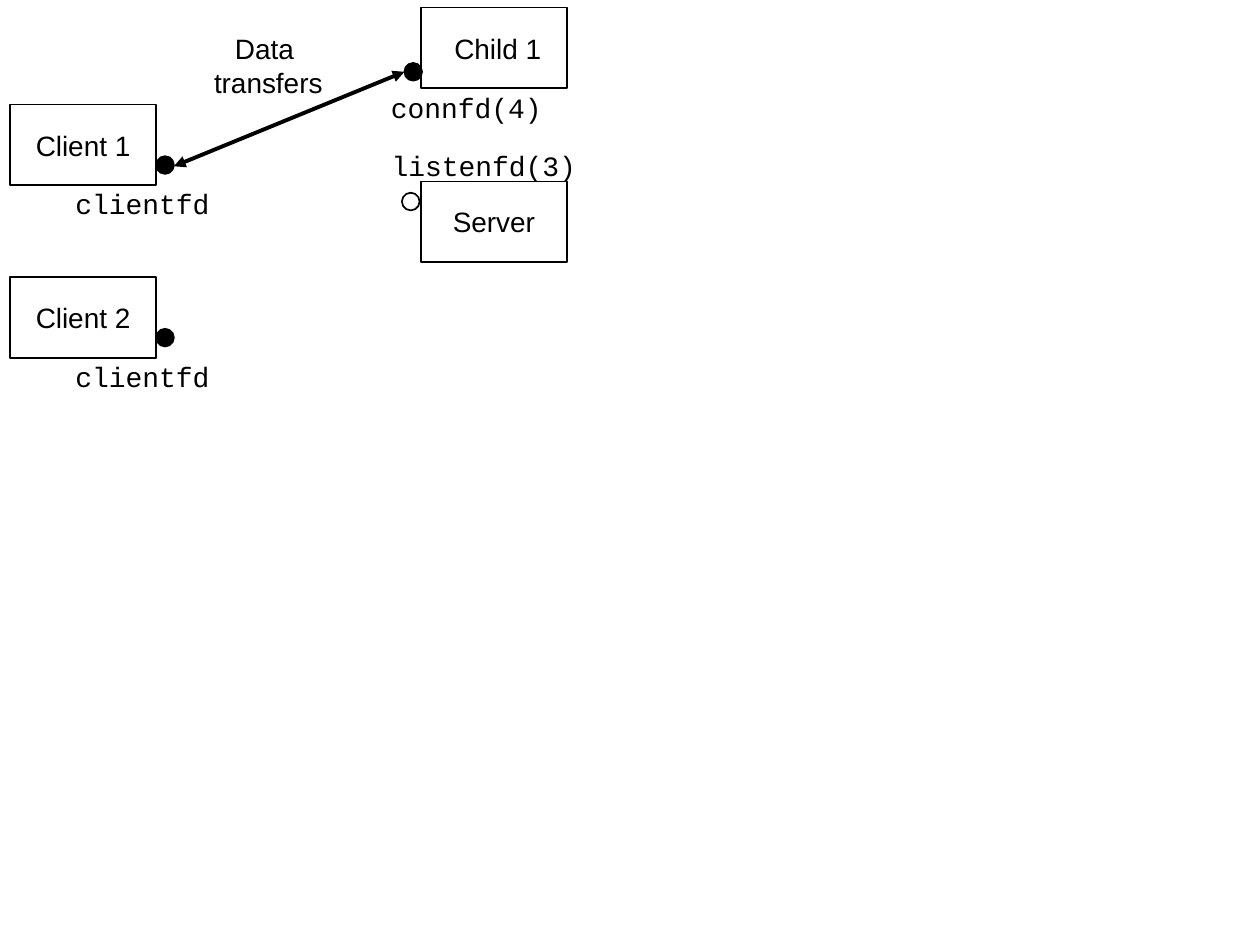
from lxml.etree import SubElement
from pptx import Presentation
from pptx.dml.color import RGBColor
from pptx.enum.shapes import MSO_CONNECTOR, MSO_SHAPE
from pptx.enum.text import MSO_ANCHOR, MSO_AUTO_SIZE, PP_ALIGN
from pptx.oxml.ns import qn
from pptx.util import Inches, Pt

BLACK = RGBColor(0x00, 0x00, 0x00)
WHITE = RGBColor(0xFF, 0xFF, 0xFF)
SANS, MONO = "Arial", "Courier New"

BOX_WIDTH, BOX_HEIGHT = 1.16, 0.64
DOT = 0.14
LABEL_HEIGHT = 0.37
CLIENT_LEFT, SERVER_LEFT = 0.08, 3.34


def write(shape, lines, font_name):
    """Centre the lines of text in a shape, one paragraph each."""
    frame = shape.text_frame
    frame.word_wrap = False
    frame.vertical_anchor = MSO_ANCHOR.MIDDLE
    for index, line in enumerate(lines):
        paragraph = frame.add_paragraph() if index else frame.paragraphs[0]
        paragraph.alignment = PP_ALIGN.CENTER
        run = paragraph.add_run()
        run.text = line
        run.font.name = font_name
        run.font.size = Pt(16)
        run.font.color.rgb = BLACK


def add_label(slide, left, top, width, height, lines, font_name):
    label = slide.shapes.add_textbox(*map(Inches, (left, top, width, height)))
    write(label, lines, font_name)
    label.text_frame.auto_size = MSO_AUTO_SIZE.SHAPE_TO_FIT_TEXT


def add_outlined(slide, kind, left, top, width, height, fill):
    shape = slide.shapes.add_shape(kind, *map(Inches, (left, top, width, height)))
    shape.shadow.inherit = False
    shape.fill.solid()
    shape.fill.fore_color.rgb = fill
    shape.line.color.rgb = BLACK
    shape.line.width = Pt(1)
    return shape


def add_process(slide, left, top, name, descriptor, dot_offset, label_offset,
                label_width, dot_fill=BLACK):
    """Draw a process box with its descriptor; offsets start at the box corner."""
    box = add_outlined(slide, MSO_SHAPE.RECTANGLE, left, top,
                       BOX_WIDTH, BOX_HEIGHT, WHITE)
    write(box, [name], SANS)
    dot_x, dot_y = dot_offset
    add_outlined(slide, MSO_SHAPE.OVAL, left + dot_x, top + dot_y,
                 DOT, DOT, dot_fill)
    label_x, label_y = label_offset
    add_label(slide, left + label_x, top + label_y, label_width, LABEL_HEIGHT,
              [descriptor], MONO)


def add_client(slide, top, name):
    add_process(slide, CLIENT_LEFT, top, name, "clientfd",
                (BOX_WIDTH, 0.41), (0.41, 0.6), 1.28)


def add_transfer(slide, start, end):
    """Draw the two-way arrow between connected descriptors and its caption."""
    arrow = slide.shapes.add_connector(MSO_CONNECTOR.STRAIGHT,
                                       *map(Inches, start + end))
    arrow.line.color.rgb = BLACK
    arrow.line.width = Pt(2.25)
    line = arrow.line._get_or_add_ln()
    for tag in ("a:headEnd", "a:tailEnd"):
        SubElement(line, qn(tag), type="triangle")
    SubElement(arrow._element.spPr, qn("a:effectLst"))
    add_label(slide, start[0] + 0.22, end[1] - 0.37, 1.06, 0.64,
              ["Data ", "transfers"], SANS)


def main():
    presentation = Presentation()
    presentation.slide_width = Inches(10)
    presentation.slide_height = Inches(7.5)
    slide = presentation.slides.add_slide(presentation.slide_layouts[6])

    # Clients on the left
    add_client(slide, 2.2, "Client 2")
    add_client(slide, 0.83, "Client 1")

    # Listening server and its child on the right
    add_process(slide, SERVER_LEFT, 1.44, "Server", "listenfd(3)",
                (-0.15, 0.09), (-0.34, -0.31), 1.68, WHITE)
    add_process(slide, SERVER_LEFT, 0.06, " Child 1", "connfd(4)",
                (-0.13, 0.44), (-0.35, 0.61), 1.42)

    # Connection from client 1 to child 1
    add_transfer(slide, (1.38, 1.32), (3.21, 0.57))
    presentation.save("out.pptx")


if __name__ == "__main__":
    main()
